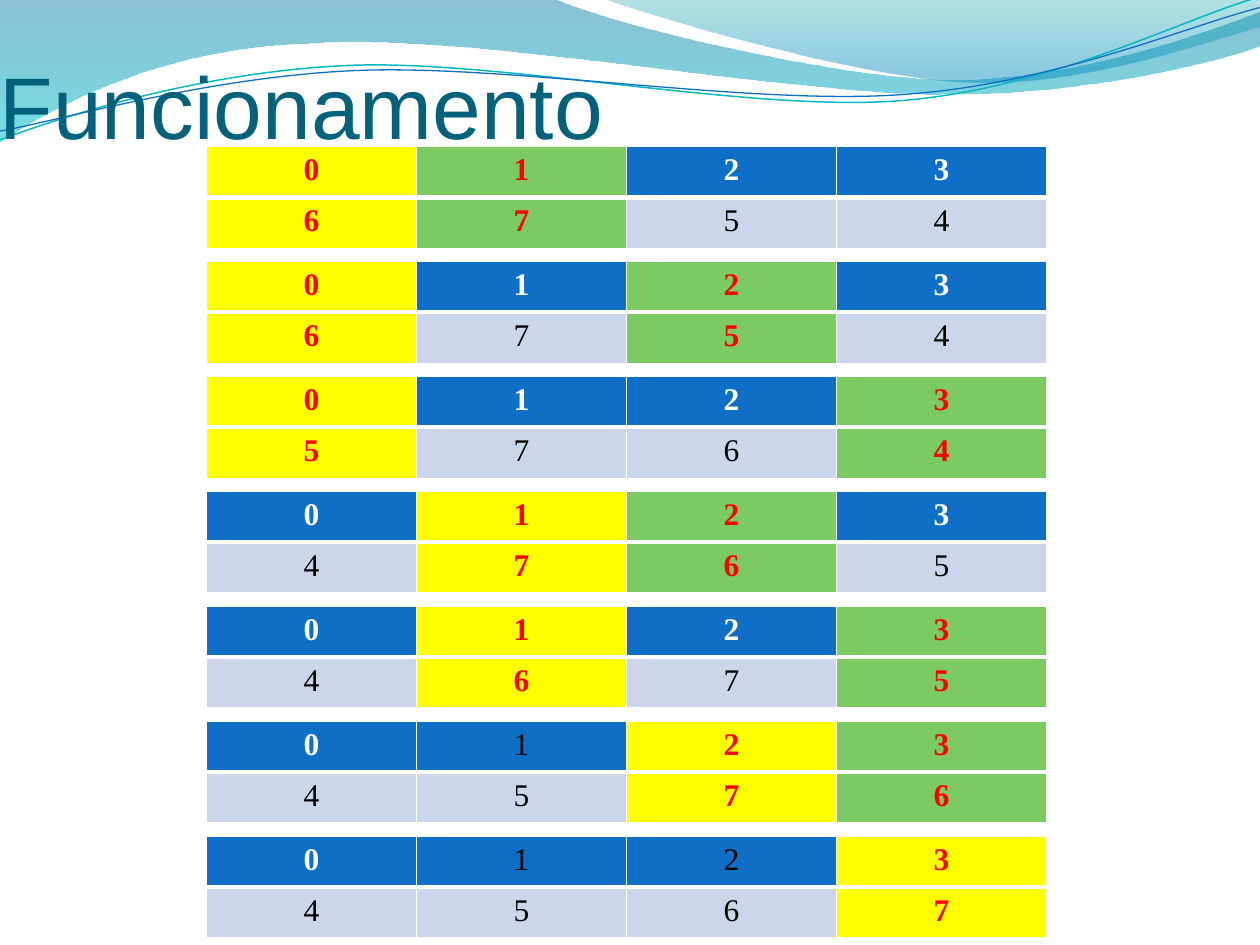
"""Build the slide that steps through a selection-style sort of four values."""
import math
from dataclasses import dataclass

from lxml import etree
from pptx import Presentation
from pptx.dml.color import RGBColor
from pptx.enum import text
from pptx.oxml import ns
from pptx.util import Pt


@dataclass(frozen=True)
class Theme:
    """Colours, fonts and type sizes."""
    title: str = "04617B"
    selected: str = "FFFF00"
    compared: str = "7CCA62"
    header: str = "0F6FC6"
    body: str = "CCD5EA"
    highlight: str = "FF0000"
    white: str = "FFFFFF"
    black: str = "000000"
    teal_line: str = "0AB8BF"
    blue_line: str = "0F6FC6"
    broad_wave: tuple = ((0, "0074A1", 45), (1, "00C6CF", 55))
    corner_wave: tuple = ((0, "00A1A9", 30), (0.8, "008BBF", 45))
    title_font: str = "Arial"
    table_font: str = "Times New Roman"
    title_size: int = 50
    table_size: int = 18


THEME = Theme()

BROAD_WAVE = [
    (0, 0), (316.8, -0.7),
    (342.7, 12.2, 478.1, 45.4, 545.8, 45.4),
    (614.2, 45.4, 689.8, 18.7, 720, 6.5),
    (720.7, 25.9),
    (707.8, 31.7, 626.4, 54.7, 537.1, 54),
    (447.8, 54, 275, 20.2, 185, 24.5),
    (92.9, 25.9, 33.1, 59.8, -0.7, 81.4),
    (0, 0),
]
CORNER_WAVE = [
    (344.9, -0.7),
    (366.5, 7.9, 491, 44.6, 553.7, 46.8),
    (616.3, 49.7, 691.9, 23, 720, 15.1),
    (720, 0),
    (344.9, -0.7),
]
TEAL_CURVE = [
    (0, 79.9),
    (34.6, 67, 113.8, 41, 199.4, 37.4),
    (284.4, 33.8, 427, 64.1, 513.4, 57.6),
    (599.8, 51.1, 675.4, 10.8, 718.6, -1.4),
]
BLUE_CURVE = [
    (0, 74.9),
    (33.8, 69.1, 118.1, 43.9, 203.8, 40.3),
    (290.2, 36.7, 429.8, 60.5, 516.2, 54),
    (601.9, 48.2, 677.5, 15.1, 720, 4.3),
]
TILT = 357.3

STEPS = [
    ("6754", 0, 1, ()),
    ("6754", 0, 2, ()),
    ("5764", 0, 3, ()),
    ("4765", 1, 2, ()),
    ("4675", 1, 3, ()),
    ("4576", 2, 3, (1,)),
    ("4567", 3, None, (1, 2)),
]
TABLE_LEFT, TABLE_TOP, TABLE_STEP = 118, 83.5, 65.7
COLUMN_WIDTH, ROW_HEIGHT = 120, 29.2


def colour(code):
    """Turn a hex code into a colour."""
    return RGBColor.from_string(code)


def turn(point, centre, degrees):
    """Turn a point clockwise around a centre."""
    angle = math.radians(degrees)
    x, y = point[0] - centre[0], point[1] - centre[1]
    return (centre[0] + x * math.cos(angle) - y * math.sin(angle),
            centre[1] + x * math.sin(angle) + y * math.cos(angle))


def add_outline(page, outline, close, centre=(0, 0), tilt=0):
    """Draw a freeform of straight lines and cubic curves."""
    points = [turn(segment[i:i + 2], centre, -tilt)
              for segment in outline for i in range(0, len(segment), 2)]
    corners = [(Pt(x), Pt(y)) for x, y in points]
    builder = page.shapes.build_freeform(*corners[0])
    builder.add_line_segments(corners[1:], close=close)
    shape = builder.convert_to_shape()
    lines = iter(list(shape.element.iter(ns.qn("a:lnTo"))))
    for segment in outline[1:]:
        first = next(lines)
        if len(segment) == 6:
            first.tag = ns.qn("a:cubicBezTo")
            for line in (next(lines), next(lines)):
                first.append(line[0])
                line.getparent().remove(line)
    shape.rotation = tilt
    shape.shadow.inherit = False
    return shape


def add_wave(page, outline, stops):
    """Add a filled wave with a see-through vertical gradient."""
    wave = add_outline(page, outline, True)
    wave.line.fill.background()
    wave.fill.gradient()
    wave.fill.gradient_angle = 270
    for stop, (position, code, _) in zip(wave.fill.gradient_stops, stops):
        stop.position = position
        stop.color.rgb = colour(code)
    tints = wave.element.spPr.iter(ns.qn("a:srgbClr"))
    for tint, (_, _, opacity) in zip(tints, stops):
        etree.SubElement(tint, ns.qn("a:alpha")).set("val", str(opacity * 1000))


def add_curve(page, outline, centre, code, width):
    """Add an open thin curve, slightly tilted."""
    curve = add_outline(page, outline, False, centre, TILT)
    curve.fill.background()
    curve.line.color.rgb = colour(code)
    curve.line.width = Pt(width)


def add_title(page, words):
    """Add the slide title."""
    box = page.shapes.add_textbox(Pt(0), Pt(0), Pt(648), Pt(90))
    frame = box.text_frame
    frame.word_wrap = True
    frame.vertical_anchor = text.MSO_ANCHOR.BOTTOM
    frame.margin_left = frame.margin_right = frame.margin_bottom = Pt(0)
    frame.margin_top = Pt(3.6)
    para = frame.paragraphs[0]
    para.text = words
    para.font.name = THEME.title_font
    para.font.size = Pt(THEME.title_size)
    para.font.color.rgb = colour(THEME.title)


def set_borders(cell, bottom):
    """Give a cell white borders."""
    properties = cell._tc.get_or_add_tcPr()
    for side, width in (("L", 1), ("R", 1), ("T", 1), ("B", bottom)):
        border = etree.SubElement(properties, ns.qn(f"a:ln{side}"), w=str(Pt(width)))
        fill = etree.SubElement(border, ns.qn("a:solidFill"))
        etree.SubElement(fill, ns.qn("a:srgbClr"), val=THEME.white)


def fill_cell(cell, words, fill, ink, bold, bottom):
    """Write and style one table cell."""
    set_borders(cell, bottom)
    cell.fill.solid()
    cell.fill.fore_color.rgb = colour(fill)
    para = cell.text_frame.paragraphs[0]
    para.text = words
    para.alignment = text.PP_ALIGN.CENTER
    para.font.name = THEME.table_font
    para.font.size = Pt(THEME.table_size)
    para.font.bold = bold
    para.font.color.rgb = colour(ink)


def add_step(page, top, values, selected, compared, plain):
    """Add the table for one step: indexes above values."""
    count = len(values)
    table = page.shapes.add_table(2, count, Pt(TABLE_LEFT), Pt(top),
                                  Pt(COLUMN_WIDTH * count), Pt(ROW_HEIGHT * 2)).table
    table.horz_banding = False
    marks = {selected: THEME.selected, compared: THEME.compared}
    for column, value in enumerate(values):
        if column in marks:
            head = body = (marks[column], THEME.highlight, True)
        else:
            is_plain = column in plain
            head = (THEME.header, THEME.black if is_plain else THEME.white, not is_plain)
            body = (THEME.body, THEME.black, False)
        fill_cell(table.cell(0, column), str(column), *head, bottom=3)
        fill_cell(table.cell(1, column), value, *body, bottom=1)


def main():
    """Assemble and save the deck."""
    deck = Presentation()
    deck.slide_width, deck.slide_height = Pt(720), Pt(540)
    page = deck.slides.add_slide(deck.slide_layouts[6])
    add_wave(page, BROAD_WAVE, THEME.broad_wave)
    add_wave(page, CORNER_WAVE, THEME.corner_wave)
    add_curve(page, TEAL_CURVE, (359.3, 41.4), THEME.teal_line, 0.85)
    add_curve(page, BLUE_CURVE, (359.6, 42.5), THEME.blue_line, 0.75)
    add_title(page, "Funcionamento")
    for index, step in enumerate(STEPS):
        add_step(page, TABLE_TOP + index * TABLE_STEP, *step)
    deck.save("out.pptx")


if __name__ == "__main__":
    main()
